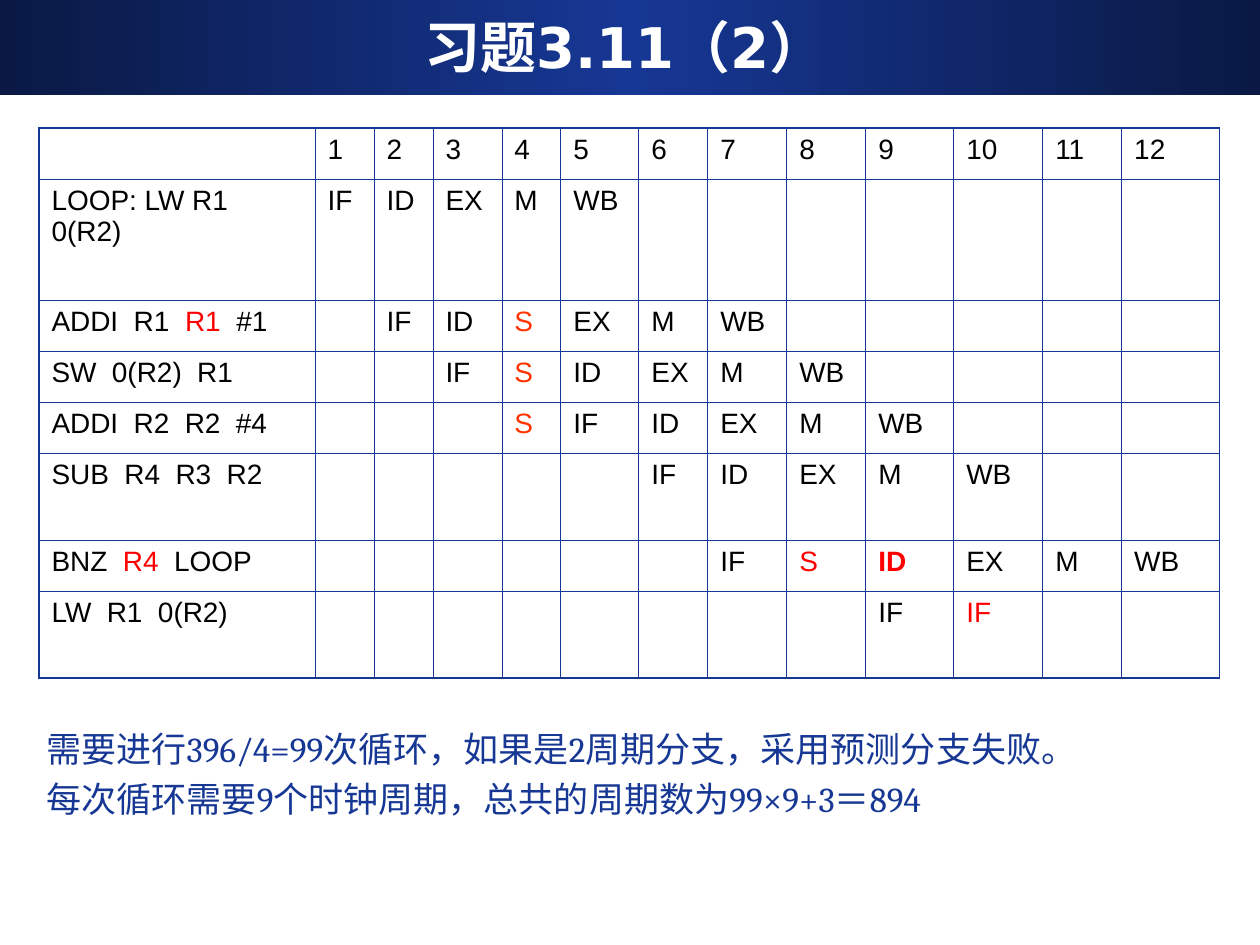
import dataclasses

import lxml.etree
import pptx
import pptx.dml.color
import pptx.enum.shapes
import pptx.enum.text
import pptx.oxml
import pptx.oxml.ns
import pptx.util


@dataclasses.dataclass(frozen=True)
class Theme:
    """Colours, fonts, type sizes and line widths of the deck."""
    navy: str = "0A1944"
    blue: str = "163794"
    white: str = "FFFFFF"
    black: str = "000000"
    red: str = "FF0000"
    orange: str = "FF3300"
    title_font: str = "DejaVu Sans"
    table_font: str = "Arial"
    summary_font: str = "Cambria"
    title_size: int = 32
    table_size: int = 16
    summary_size: int = 20
    inner_line: float = 0.45
    outer_line: float = 1.08


@dataclasses.dataclass(frozen=True)
class Span:
    """A highlighted piece of text."""
    text: str
    color: str
    bold: bool = False


THEME = Theme()
STALL = Span("S", THEME.orange)
TITLE = "习题3.11（2）"
COLUMNS = (276, 59, 59, 69, 59, 78, 69, 79, 79, 88, 89, 79, 98)
ROWS = (51, 121, 51, 51, 51, 87, 51, 87)
PIPELINE = (
    (("LOOP: LW R1 0(R2)",), 1, ("IF", "ID", "EX", "M", "WB")),
    (("ADDI  R1  ", Span("R1  ", THEME.red), "#1"), 2, ("IF", "ID", STALL, "EX", "M", "WB")),
    (("SW  0(R2)  R1",), 3, ("IF", STALL, "ID", "EX", "M", "WB")),
    (("ADDI  R2  R2  #4",), 4, (STALL, "IF", "ID", "EX", "M", "WB")),
    (("SUB  R4  R3  R2",), 6, ("IF", "ID", "EX", "M", "WB")),
    (("BNZ  ", Span("R4 ", THEME.red), " LOOP"), 7,
     ("IF", Span("S", THEME.red), Span("ID", THEME.red, True), "EX", "M", "WB")),
    (("LW  R1  0(R2)",), 9, ("IF", Span("IF", THEME.red))),
)
SUMMARY = (
    "需要进行396/4=99次循环，如果是2周期分支，采用预测分支失败。",
    "每次循环需要9个时钟周期，总共的周期数为99×9+3＝894",
)


def px(length):
    """Turn pixels into EMU."""
    return pptx.util.Emu(round(length * 914400 / 126))


def rgb(color):
    """Turn a hex string into a colour."""
    return pptx.dml.color.RGBColor.from_string(color)


def style_font(font, name, size, color, bold=False):
    """Set the look of a font."""
    font.name = name
    font.size = pptx.util.Pt(size)
    font.bold = bold
    font.color.rgb = rgb(color)


def add_header(page, left, top, width, height):
    """Draw the gradient band and place the title on it."""
    band = page.shapes.add_shape(
        pptx.enum.shapes.MSO_SHAPE.RECTANGLE, px(left), px(top), px(width), px(height))
    band.shadow.inherit = False
    band.line.fill.background()
    band.fill.gradient()
    band.fill.gradient_angle = 0
    for position, stop in enumerate(band.fill.gradient_stops):
        stop.color.rgb = rgb(THEME.navy)
        stop.position = position
    middle = pptx.oxml.parse_xml(
        f'<a:gs {pptx.oxml.ns.nsdecls("a")} pos="50000"><a:srgbClr val="{THEME.blue}"/></a:gs>')
    band.element.spPr.find(".//" + pptx.oxml.ns.qn("a:gsLst")).insert(1, middle)
    page.shapes.element.insert(2, band.element)

    title = page.shapes.title
    title.left, title.top = px(left + 42), px(top + 8)
    title.width, title.height = px(width - 94), px(height - 18)
    frame = title.text_frame
    frame.text = TITLE
    frame.auto_size = pptx.enum.text.MSO_AUTO_SIZE.NONE
    frame.vertical_anchor = pptx.enum.text.MSO_ANCHOR.MIDDLE
    para = frame.paragraphs[0]
    para.alignment = pptx.enum.text.PP_ALIGN.CENTER
    style_font(para.font, THEME.title_font, THEME.title_size, THEME.white, True)


def set_borders(cell, outer_sides):
    """Rule the four sides of a cell, heavier on the table's rim."""
    props = cell._tc.get_or_add_tcPr()
    for index, side in enumerate("LRTB"):
        weight = THEME.outer_line if side in outer_sides else THEME.inner_line
        line = lxml.etree.Element(
            pptx.oxml.ns.qn(f"a:ln{side}"), w=str(pptx.util.Pt(weight)))
        fill = lxml.etree.SubElement(line, pptx.oxml.ns.qn("a:solidFill"))
        lxml.etree.SubElement(fill, pptx.oxml.ns.qn("a:srgbClr"), val=THEME.blue)
        props.insert(index, line)


def fill_cell(cell, parts):
    """Write plain and highlighted parts into a cell."""
    cell.fill.background()
    para = cell.text_frame.paragraphs[0]
    para.space_before = pptx.util.Pt(4)
    style_font(para.font, THEME.table_font, THEME.table_size, THEME.black)
    for part in parts:
        span = para.add_run()
        if isinstance(part, Span):
            span.text = part.text
            span.font.color.rgb = rgb(part.color)
            span.font.bold = part.bold
        else:
            span.text = part


def pipeline_grid():
    """Lay out the parts of every cell, row by row."""
    cycles = len(COLUMNS) - 1
    grid = [[()] + [(str(cycle),) for cycle in range(1, cycles + 1)]]
    for label, start, stages in PIPELINE:
        row = [label] + [()] * cycles
        row[start:start + len(stages)] = [(stage,) for stage in stages]
        grid.append(row)
    return grid


def add_pipeline_table(page, left, top):
    """Draw the pipeline timing table."""
    table = page.shapes.add_table(
        len(ROWS), len(COLUMNS), px(left), px(top), px(sum(COLUMNS)), px(sum(ROWS))).table
    table.first_row = table.horz_banding = False
    for column, width in zip(table.columns, COLUMNS):
        column.width = px(width)
    for row, height in zip(table.rows, ROWS):
        row.height = px(height)
    for y, row in enumerate(pipeline_grid()):
        for x, parts in enumerate(row):
            cell = table.cell(y, x)
            fill_cell(cell, parts)
            rim = {"L": x == 0, "R": x == len(COLUMNS) - 1,
                   "T": y == 0, "B": y == len(ROWS) - 1}
            set_borders(cell, [side for side, outer in rim.items() if outer])


def add_summary(page, left, top, width, height):
    """Write the conclusions under the table."""
    box = page.shapes.add_textbox(px(left), px(top), px(width), px(height))
    frame = box.text_frame
    frame.word_wrap = True
    frame.text = "\n".join(SUMMARY)
    for para in frame.paragraphs:
        para.space_before = pptx.util.Pt(5)
        style_font(para.font, THEME.summary_font, THEME.summary_size, THEME.blue)


def main():
    """Build the deck and save it."""
    deck = pptx.Presentation()
    deck.slide_width, deck.slide_height = px(1260), px(945)
    page = deck.slides.add_slide(deck.slide_layouts.get_by_name("Title Only"))
    add_header(page, 0, 0, 1260, 95)
    add_pipeline_table(page, 39, 128)
    add_summary(page, 34, 721, 1196, 149)
    deck.save("out.pptx")


if __name__ == "__main__":
    main()
